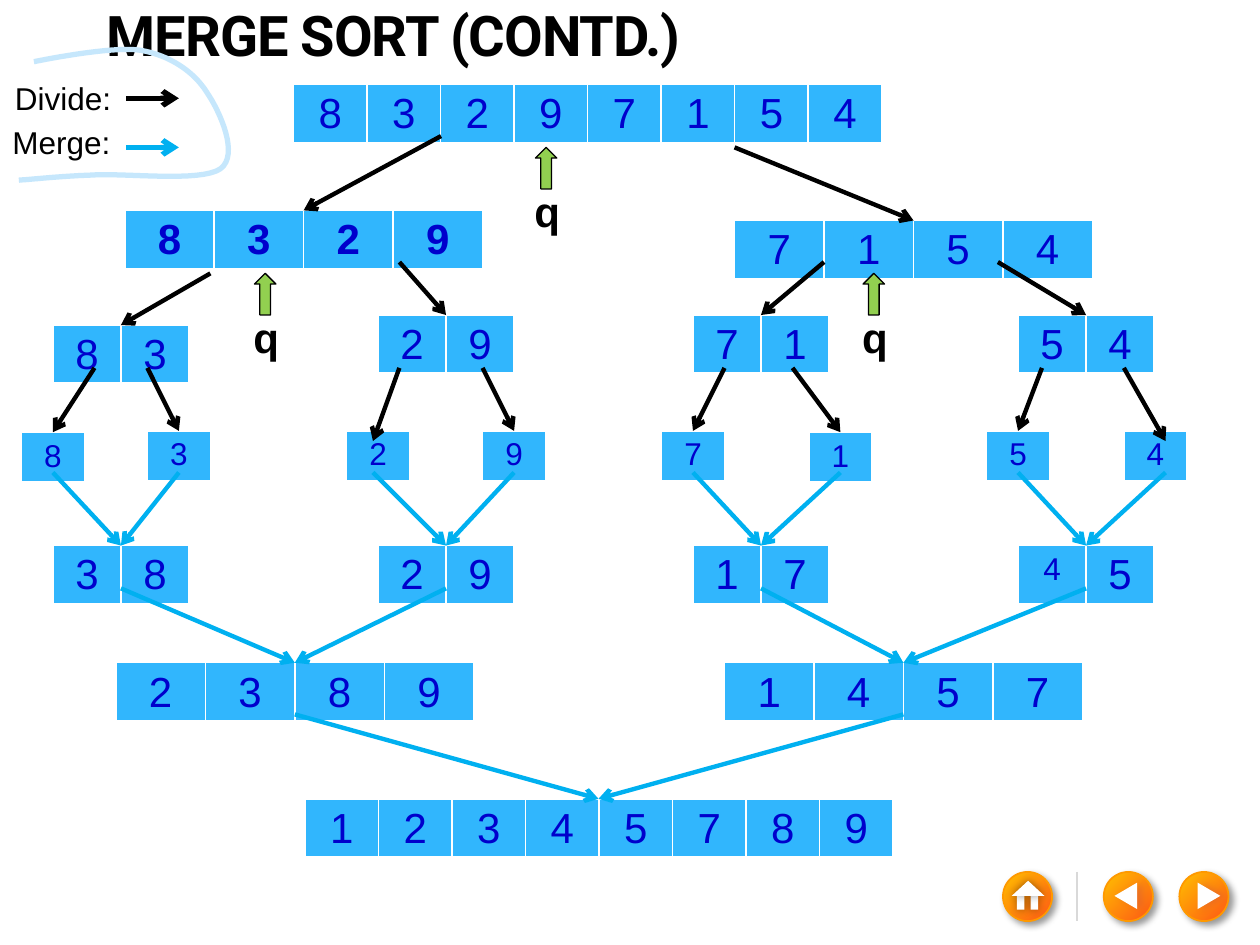
from lxml import etree
from pptx import Presentation
from pptx.dml.color import RGBColor
from pptx.enum.shapes import MSO_CONNECTOR, MSO_SHAPE
from pptx.enum.text import MSO_ANCHOR, MSO_AUTO_SIZE, PP_ALIGN
from pptx.oxml.ns import qn
from pptx.util import Inches, Pt

OVAL, TRIANGLE, RECT = MSO_SHAPE.OVAL, MSO_SHAPE.ISOSCELES_TRIANGLE, MSO_SHAPE.RECTANGLE
DOWN_ARROW = MSO_SHAPE.DOWN_ARROW
STRAIGHT = MSO_CONNECTOR.STRAIGHT
CENTER = PP_ALIGN.CENTER
BOTTOM, TOP = MSO_ANCHOR.BOTTOM, MSO_ANCHOR.TOP
FIT_SHAPE, NO_FIT = MSO_AUTO_SIZE.SHAPE_TO_FIT_TEXT, MSO_AUTO_SIZE.NONE
BLACK, WHITE, DIVIDE, MERGE = "000000", "FFFFFF", "000000", "00B0F0"


def rgb(value):
    return RGBColor.from_string(value)


def add_xml(parent, tag, **attrs):
    return etree.SubElement(parent, qn(tag), {k: str(v) for k, v in attrs.items()})


class Slide:
    font = "Arial"
    cell_fill = "31B6FD"
    digit = "0000CC"

    def __init__(self, s):
        self.s = s

    def run(self, p, text, size, color, bold=False, font=None):
        r = p.add_run()
        r.text = text
        r.font.name = font or self.font
        r.font.size = Pt(size)
        r.font.bold = bold
        r.font.color.rgb = rgb(color)
        return r

    def text(self, x, y, w, h, text, size, bold=False, font=None, wrap=True,
             anchor=TOP, fit=FIT_SHAPE):
        tf = self.s.shapes.add_textbox(Inches(x), Inches(y), Inches(w), Inches(h)).text_frame
        tf.word_wrap = wrap
        tf.auto_size = fit
        tf.vertical_anchor = anchor
        return self.run(tf.paragraphs[0], text, size, BLACK, bold, font)

    def array(self, x, y, w, digits, sizes=24, bold=False):
        n = len(digits)
        if isinstance(sizes, int):
            sizes = [sizes] * n
        frame = self.s.shapes.add_table(1, n, Inches(x), Inches(y), Inches(w), Inches(0.41))
        for cell, value, size in zip(frame.table.rows[0].cells, digits, sizes):
            p = cell.text_frame.paragraphs[0]
            p.alignment = CENTER
            self.run(p, value, size, self.digit, bold)
            tcPr = cell._tc.get_or_add_tcPr()
            for side, width in zip("LRTB", (1, 1, 1, 3)):
                ln = add_xml(tcPr, "a:ln" + side, w=Pt(width))
                add_xml(add_xml(ln, "a:solidFill"), "a:srgbClr", val=WHITE)
            cell.fill.solid()
            cell.fill.fore_color.rgb = rgb(self.cell_fill)
        if max(sizes) == 24:
            frame.height = Inches(0.5)

    def line(self, start, end, color, width=2.5, arrow=True):
        c = self.s.shapes.add_connector(STRAIGHT, *map(Inches, start + end))
        c.line.color.rgb = rgb(color)
        c.line.width = Pt(width)
        if arrow:
            add_xml(c.line._get_or_add_ln(), "a:tailEnd", type="arrow")
        add_xml(c._element.spPr, "a:effectLst")

    def shape(self, kind, x, y, w, h, fill=WHITE, line=None, width=1, shadow=None, rotation=0):
        sp = self.s.shapes.add_shape(kind, Inches(x), Inches(y), Inches(w), Inches(h))
        sp.rotation = rotation
        sp.fill.solid()
        sp.fill.fore_color.rgb = rgb(fill)
        if line:
            sp.line.color.rgb = rgb(line)
            sp.line.width = Pt(width)
        else:
            sp.line.fill.background()
        sp.shadow.inherit = False
        if shadow:
            color, blur, dist, angle = shadow
            effects = sp._element.spPr.find(qn("a:effectLst"))
            outer = add_xml(effects, "a:outerShdw", blurRad=Pt(blur), dist=Pt(dist),
                            dir=angle * 60000, algn="ctr", rotWithShape=0)
            add_xml(add_xml(outer, "a:srgbClr", val=color), "a:alpha", val=40000)
        return sp

    def button(self, x):
        sp = self.shape(OVAL, x, 6.92, 0.39, 0.39, line="FF9900", shadow=(BLACK, 4, 3, 45))
        sp.fill.gradient()
        for stop, color, position in zip(sp.fill.gradient_stops, ("FE5815", "FFC000"), (0, 1)):
            stop.color.rgb = rgb(color)
            stop.position = position
        grad = sp._element.spPr.find(qn("a:gradFill"))
        grad.remove(grad.find(qn("a:lin")))
        add_xml(add_xml(grad, "a:path", path="circle"), "a:fillToRect", l=100000, t=100000)
        return sp

    def group(self, *shapes):
        self.s.shapes.add_group_shape(shapes)

    def pivot(self, x, y):
        self.text(x, y + 0.25, 0.19, 0.5, "q", 24, bold=True)
        sp = self.shape(DOWN_ARROW, x + 0.1, y, 0.17, 0.33, "92D050", BLACK, 0.75)
        sp._element.spPr.find(qn("a:xfrm")).set("flipV", "1")

    def curve(self, start, segments, color, width, steps=16):
        points = []
        p0 = start
        for p1, p2, p3 in segments:
            for i in range(1, steps + 1):
                t = i / steps
                u = 1 - t
                points.append(tuple(
                    Inches(u**3 * a + 3 * u * u * t * b + 3 * u * t * t * c + t**3 * d)
                    for a, b, c, d in zip(p0, p1, p2, p3)))
            p0 = p3
        fb = self.s.shapes.build_freeform(Inches(start[0]), Inches(start[1]))
        fb.add_line_segments(points, close=False)
        sp = fb.convert_to_shape()
        sp.fill.background()
        sp.line.color.rgb = rgb(color)
        sp.line.width = Pt(width)
        sp.shadow.inherit = False


ARRAYS = [
    (2.33, 0.67, 4.67, "83297154"),
    (0.99, 1.67, 2.84, "8329", 24, True), (5.83, 1.75, 2.84, "7154"),
    (0.42, 2.58, 1.08, "83"), (3, 2.5, 1.08, "29"),
    (5.5, 2.5, 1.08, "71"), (8.08, 2.5, 1.08, "54"),
    (0.17, 3.43, 0.5, "8", 18), (1.17, 3.42, 0.5, "3", 18),
    (2.75, 3.42, 0.5, "2", 18), (3.83, 3.42, 0.5, "9", 18),
    (5.25, 3.42, 0.5, "7", 18), (6.42, 3.43, 0.5, "1", 18),
    (7.83, 3.42, 0.5, "5", 18), (8.92, 3.42, 0.5, "4", 18),
    (0.42, 4.33, 1.08, "38"), (3, 4.33, 1.08, "29"),
    (5.5, 4.33, 1.08, "17"), (8.08, 4.33, 1.08, "45", (18, 24)),
    (0.92, 5.26, 2.84, "2389"), (5.75, 5.26, 2.84, "1457"),
    (2.42, 6.34, 4.67, "12345789"),
]
DIVIDE_ARROWS = [
    ((3.5, 1.08), (2.41, 1.67)), ((5.83, 1.17), (7.25, 1.75)),
    ((1.67, 2.17), (0.96, 2.58)), ((3.17, 2.08), (3.54, 2.5)),
    ((6.54, 2.08), (6.04, 2.5)), ((7.92, 2.08), (8.62, 2.5)),
    ((0.75, 2.92), (0.42, 3.43)), ((1.17, 2.92), (1.42, 3.42)),
    ((3.17, 2.92), (2.96, 3.5)), ((3.83, 2.92), (4.08, 3.42)),
    ((5.75, 2.92), (5.5, 3.42)), ((6.29, 2.92), (6.67, 3.43)),
    ((8.27, 2.92), (8.08, 3.42)), ((8.92, 2.92), (9.25, 3.5)),
]
MERGE_LEVELS = [
    (3.75, 4.33, [(0.42, 1.42, 0.96), (2.96, 4.08, 3.54), (5.5, 6.67, 6.04), (8.08, 9.25, 8.62)]),
    (4.67, 5.26, [(0.96, 3.54, 2.34), (6.04, 8.62, 7.17)]),
    (5.67, 6.34, [(2.34, 7.17, 4.75)]),
]
LEGEND_CURVE = [
    ((0.3, 1.42), (0.45, 1.4), (0.72, 1.39)),
    ((0.98, 1.37), (1.59, 1.45), (1.75, 1.34)),
    ((1.9, 1.23), (1.75, 0.89), (1.64, 0.73)),
    ((1.54, 0.57), (1.35, 0.44), (1.12, 0.4)),
    ((0.89, 0.36), (0.27, 0.49), (0.27, 0.49)),
]


def main():
    prs = Presentation()
    prs.slide_width, prs.slide_height = Inches(10), Inches(7.5)
    s = Slide(prs.slides.add_slide(prs.slide_layouts[6]))

    for x, icon_x, rotation in ((9.36, 9.49, 90), (8.76, 8.83, 270)):
        s.group(s.button(x), s.shape(TRIANGLE, icon_x, 7.02, 0.21, 0.18,
                                     shadow=("D35641", 4, 3, 0), rotation=rotation))
    glow = (BLACK, 5, 0, 0)
    s.group(s.button(7.96),
            *[s.shape(RECT, x, 7.11, 0.06, 0.11, shadow=glow) for x in (8.18, 8.07)],
            s.shape(TRIANGLE, 8.03, 6.99, 0.26, 0.12, shadow=glow))
    s.line((8.55, 6.92), (8.55, 7.31), "D9D9D9", 1, arrow=False)

    title = s.text(0.75, 0.17, 7.51, 0.42, "MERGE SORT (CONTD.)", 32, bold=True,
                   font="Roboto", anchor=BOTTOM, fit=NO_FIT)
    title._r.get_or_add_rPr().set("spc", "-60")

    for array in ARRAYS:
        s.array(*array)
    for start, end in DIVIDE_ARROWS:
        s.line(start, end, DIVIDE)
    for top, bottom, joins in MERGE_LEVELS:
        for left, right, target in joins:
            for x in (left, right):
                s.line((x, top), (target, bottom), MERGE)

    for y, color in ((0.78, DIVIDE), (1.17, MERGE)):
        s.line((1, y), (1.42, y), color, 3)
    s.text(0.02, 0.58, 1.01, 0.4, "Divide:", 18, wrap=False)
    s.text(0, 0.93, 1.03, 0.4, "Merge:", 18, wrap=False)
    s.curve((0.15, 1.43), LEGEND_CURVE, "C6E7FC", 3)

    for x, y in ((4.15, 1.17), (1.92, 2.17), (6.75, 2.17)):
        s.pivot(x, y)
    prs.save("out.pptx")


if __name__ == "__main__":
    main()
